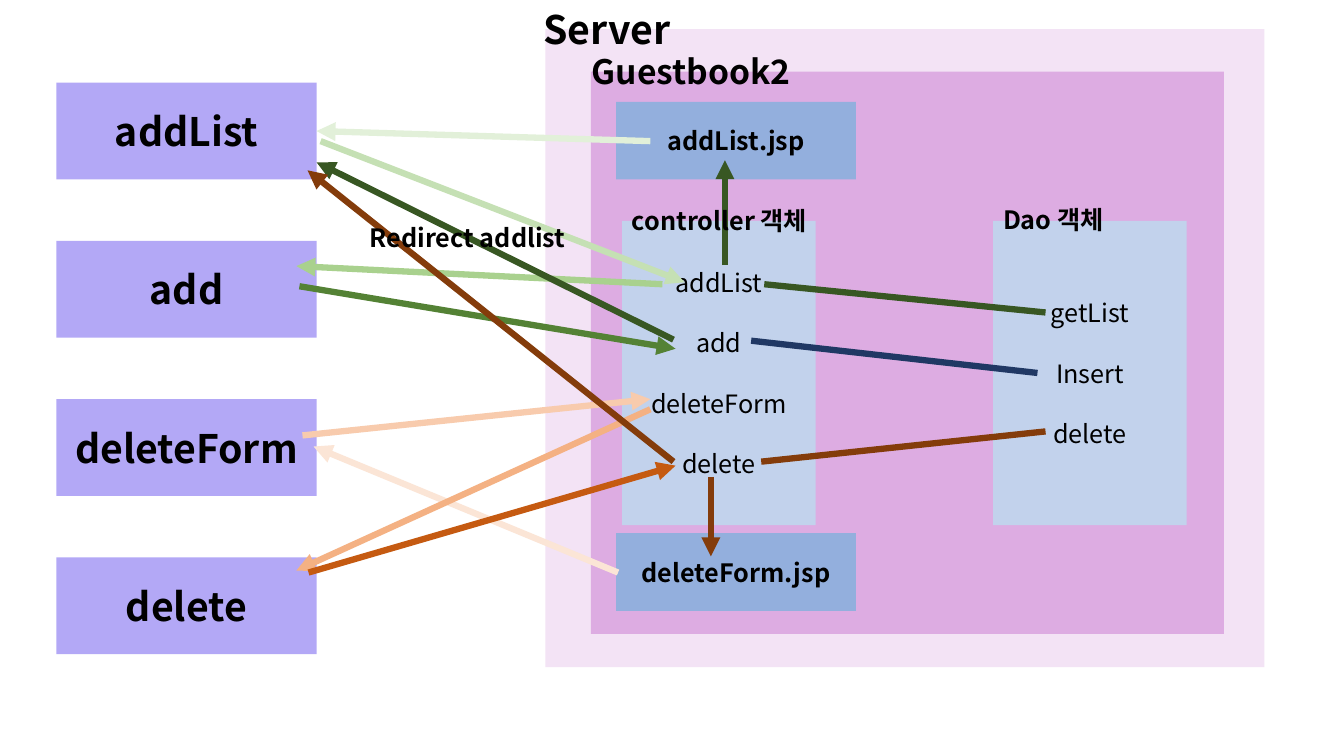
from pptx import Presentation
from pptx.dml.color import RGBColor
from pptx.enum.shapes import MSO_CONNECTOR, MSO_SHAPE
from pptx.enum.text import MSO_ANCHOR, PP_ALIGN
from pptx.oxml.ns import qn
from pptx.util import Inches, Pt
from lxml import etree

RECT = MSO_SHAPE.RECTANGLE
LINE = MSO_CONNECTOR.STRAIGHT
MIDDLE = MSO_ANCHOR.MIDDLE
LEFT, CENTER = PP_ALIGN.LEFT, PP_ALIGN.CENTER

THEME = {
    "font": "Noto Sans CJK KR", "ink": "000000",
    "server": "F3E3F5", "app": "DDACE2", "object": "C2D2EC",
    "jsp": "93AFDD", "page": "B3A8F6",
    "green1": "E2F0D9", "green2": "C5E0B4", "green3": "A9D18E",
    "green4": "548235", "green5": "385723", "navy": "203864",
    "orange1": "FBE5D6", "orange2": "F8CBAD", "orange3": "F4B183",
    "orange4": "C55A11", "brown": "843C0B",
    "big": 28, "mid": 24, "small": 18, "stroke": 4.5, "pitch": 21.6,
}

deck = Presentation()
deck.slide_width, deck.slide_height = Inches(13.33), Inches(7.5)
slide = deck.slides.add_slide(deck.slide_layouts[6])


def add_box(place, fill=None, lines=(), size="small", bold=True):
    """Add a filled rectangle, or a left-aligned label when fill is None."""
    spot = [Inches(n) for n in place]
    if fill:
        box = slide.shapes.add_shape(RECT, *spot)
        box.shadow.inherit = False
        box.fill.solid()
        box.fill.fore_color.rgb = RGBColor.from_string(THEME[fill])
        box.line.fill.background()
    else:
        box = slide.shapes.add_textbox(*spot)
    frame = box.text_frame
    frame.word_wrap = True
    frame.vertical_anchor = MIDDLE
    frame.margin_top = frame.margin_bottom = 0
    frame.text = "\n".join(lines)
    for i, para in enumerate(frame.paragraphs):
        para.alignment = CENTER if fill else LEFT
        if len(lines) > 1:
            para.line_spacing = Pt(THEME["pitch"])
            para.space_before = Pt(THEME["pitch"] if i else 0)
        for run in para.runs:
            font = run.font
            font.name, font.size, font.bold = THEME["font"], Pt(THEME[size]), bold
            font.color.rgb = RGBColor.from_string(THEME["ink"])
            east = etree.SubElement(run._r.get_or_add_rPr(), qn("a:ea"))
            east.set("typeface", THEME["font"])


def add_link(start, end, color, arrow=True):
    """Join two points with a thick line, with an arrowhead at the end."""
    link = slide.shapes.add_connector(LINE, *[Inches(n) for n in start + end])
    link.line.width = Pt(THEME["stroke"])
    link.line.color.rgb = RGBColor.from_string(THEME[color])
    if arrow:
        etree.SubElement(link.line._get_or_add_ln(), qn("a:tailEnd"), type="triangle")
    etree.SubElement(link._element.spPr, qn("a:effectLst"))


# Server and application frames
add_box((5.41, 0.29, 7.13, 6.33), "server")
add_box((5.29, 0, 1.65, 0.57), lines=["Server"], size="big")
add_box((5.86, 0.71, 6.28, 5.58), "app")
add_box((5.77, 0.46, 2.72, 0.5), lines=["Guestbook2"], size="mid")

# Dao, JSP views and controller
add_box((9.85, 2.19, 1.92, 3.02), "object", ["getList", "Insert", "delete"], bold=False)
add_box((9.85, 1.98, 1.33, 0.4), lines=["Dao 객체"])
for top, name in ((1.01, "addList.jsp"), (5.29, "deleteForm.jsp")):
    add_box((6.11, top, 2.38, 0.77), "jsp", [name])
calls = ["addList", "add", "deleteForm", "delete"]
add_box((6.17, 2.19, 1.92, 3.02), "object", calls, bold=False)

# Browser pages, one per controller call
for i, name in enumerate(calls):
    add_box((0.56, 0.82 + 1.57 * i, 2.58, 0.96), "page", [name], "big")

# Links below the controller label
add_link((6.45, 1.4), (3.14, 1.3), "green1")
add_link((10.37, 3.1), (7.58, 2.82), "green5", arrow=False)
add_link((7.19, 2.63), (7.19, 1.59), "green5")
add_box((6.17, 1.99, 2.03, 0.4), lines=["controller 객체"])

# Requests, responses and Dao calls
for start, end, color, arrow in (
    ((2.97, 2.84), (6.7, 3.46), "green4", True),
    ((6.57, 2.82), (2.94, 2.64), "green3", True),
    ((6.68, 3.37), (3.14, 1.61), "green5", True),
    ((10.29, 3.7), (7.45, 3.38), "navy", False),
    ((10.37, 4.28), (7.55, 4.58), "brown", False),
    ((6.13, 5.68), (3.11, 4.43), "orange1", True),
    ((3, 4.32), (6.45, 3.96), "orange2", True),
    ((3.18, 1.4), (6.79, 2.8), "green2", True),
    ((6.45, 4.06), (2.94, 5.66), "orange3", True),
    ((3.06, 5.68), (6.7, 4.62), "orange4", True),
    ((6.68, 4.58), (3.05, 1.69), "brown", True),
):
    add_link(start, end, color, arrow)

# Redirect label and the link to the delete form view
add_box((3.57, 2.16, 2.25, 0.4), lines=["Redirect addlist"])
add_link((7.05, 4.73), (7.05, 5.52), "brown")

deck.save("out.pptx")
